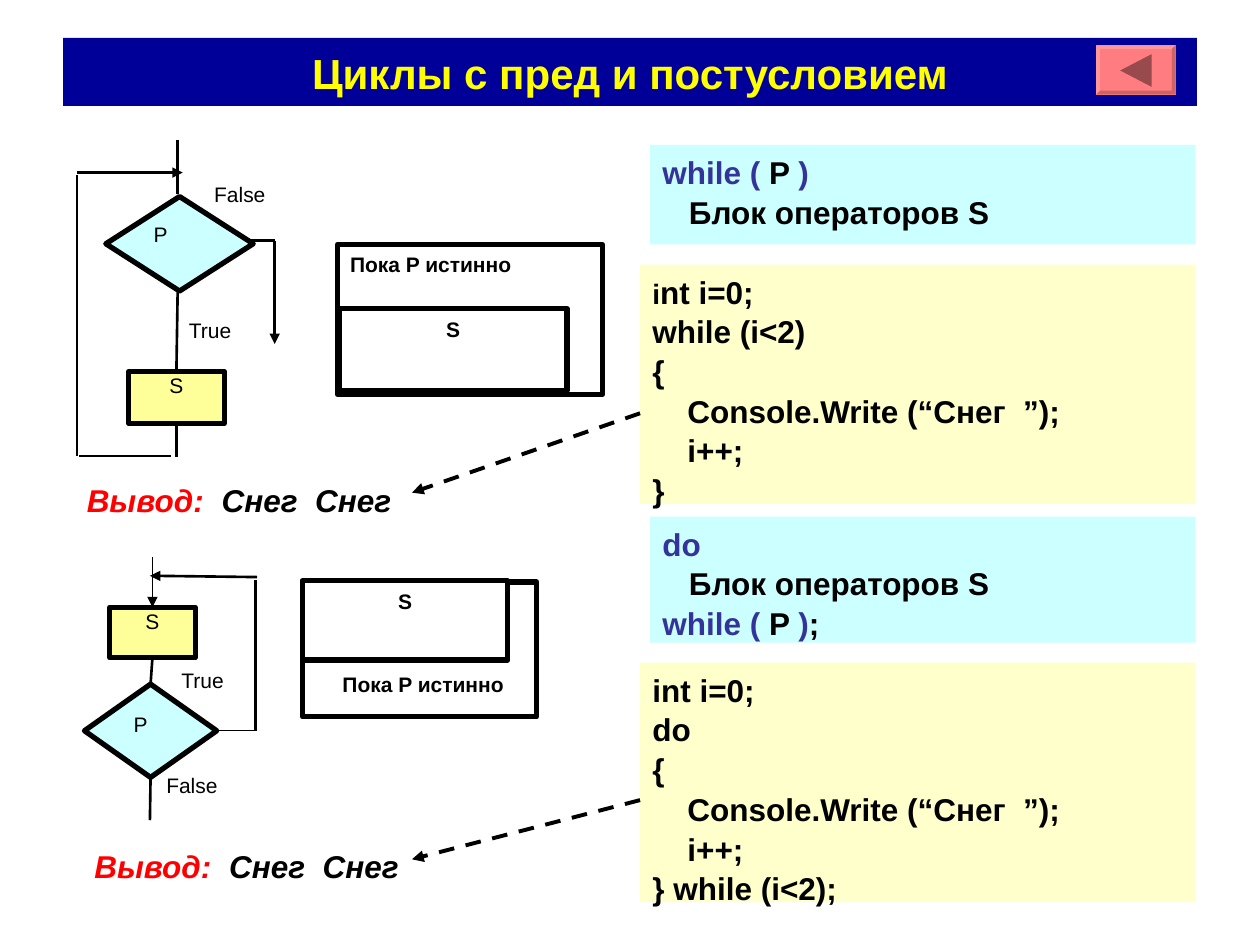
from pptx import Presentation
from pptx.dml.color import RGBColor
from pptx.enum.dml import MSO_LINE
from pptx.enum.shapes import MSO_CONNECTOR, MSO_SHAPE
from pptx.enum.text import MSO_ANCHOR, PP_ALIGN
from pptx.oxml.ns import qn
from pptx.util import Inches, Pt
from lxml.etree import SubElement as Sub

THEME = {
    "font": "Arial", "title": 24, "code": 18, "small": 16, "label": 12,
    "leading": 1.05, "thick": 3, "flow": 1.5, "thin": 0.75, "dash": 2.25,
    "navy": "000099", "yellow": "FFFF00", "black": "000000", "white": "FFFFFF",
    "key": "333399", "red": "FF0000", "aqua": "CCFFFF", "cream": "FFFFCC",
    "step": "FFFF99", "face": "FF7C80", "light": "FF9699", "dark": "CC6366",
    "mark": "994A4D",
}
TITLE = "Циклы с пред и постусловием"
TITLE_AT = (0.5, 0.3, 9, 0.54)

# A line is a list of runs: text, colour, size (code size by default).
BODY = [("Блок операторов S", "black")]
WHILE = [("while (", "key"), (" P ", "black"), (")", "key")]
COMMON = ["{", "    Console.Write (“Снег  ”);", "    i++;"]
PANELS = [  # place, fill, lines, index of the indented line
    ((5.16, 1.15, 4.33, 0.79), "aqua", [WHILE, BODY], 1),
    ((5.08, 2.1, 4.41, 1.9), "cream",
     [[("i", "black", "small"), ("nt i=0;", "black")]]
     + [[(t, "black")] for t in ["while (i<2)", *COMMON, "}"]], None),
    ((5.16, 4.1, 4.33, 1), "aqua",
     [[("do", "key")], BODY, WHILE + [(";", "black")]], 1),
    ((5.08, 5.26, 4.41, 1.9), "cream",
     [[(t, "black")] for t in ["int i=0;", "do", *COMMON, "} while (i<2);"]], None),
]
NODES = {  # kind, place, fill, text, bold
    "test1": ("diamond", (0.84, 1.56, 1.17, 0.75), "aqua", "", False),
    "step1": ("rect", (1.02, 2.95, 0.76, 0.41), "step", "S", False),
    "loop1": ("rect", (2.68, 1.94, 2.1, 1.19), "white", "", False),
    "block1": ("rect", (2.69, 2.45, 1.81, 0.65), "white", "S", True),
    "loop2": ("rect", (2.4, 4.62, 1.86, 1.07), "white", "", False),
    "block2": ("rect", (2.4, 4.61, 1.63, 0.63), "white", "S", True),
    "test2": ("diamond", (0.67, 5.43, 1.05, 0.74), "aqua", "", False),
    "step2": ("rect", (0.87, 4.82, 0.68, 0.4), "step", "S", False),
}
LABELS = [  # text, place, bold
    ("P", (1.22, 1.75, 0.33, 0.33), False),
    ("False", (1.7, 1.43, 0.54, 0.32), False),
    ("True", (1.5, 2.51, 0.47, 0.33), False),
    ("True", (1.44, 5.29, 0.54, 0.36), False),
    ("P", (1.06, 5.64, 0.35, 0.31), False),
    ("False", (1.32, 6.12, 0.56, 0.34), False),
    ("Пока P истинно", (2.68, 1.94, 1.6, 0.3), True),
    ("Пока P истинно", (2.62, 5.27, 1.6, 0.3), True),
]
LINES = [  # from, to (a point, or a node and its side), width, arrow
    ((1.41, 2.32), ("step1", 0), "flow", False),
    (("step1", 2), (1.4, 3.63), "flow", False),
    ((0.61, 1.39), (0.61, 3.62), "flow", False),
    ((0.63, 3.62), (1.36, 3.62), "flow", False),
    ((0.61, 1.37), (1.45, 1.37), "flow", True),
    ((1.41, 1.54), (1.41, 1.11), "flow", False),
    ((1.97, 1.91), (2.18, 1.91), "flow", False),
    ((2.18, 1.91), (2.18, 2.73), "flow", True),
    ((2.03, 4.6), (2.03, 5.79), "flow", False),
    ((2.04, 4.58), (1.19, 4.57), "flow", True),
    (("step2", 2), ("test2", 0), "flow", False),
    (("test2", 2), (1.19, 6.51), "flow", False),
    ((1.21, 4.42), ("step2", 0), "thin", True),
    (("test2", 3), (2.04, 5.8), "thin", False),
    ((5.08, 3.28), (3.27, 3.91), "dash", True),
    ((5.08, 6.35), (3.27, 6.82), "dash", True),
]
OUTPUT = [("Вывод:", "red"), ("\tСнег  Снег", "black")]
OUTPUT_AT = [(0.59, 3.75, 2.62, 0.4), (0.65, 6.66, 2.62, 0.4)]
OUTPUT_TAB = 1.07
BUTTON = (8.7, 0.36, 0.63, 0.39)
BEVEL = 0.03
ARROW = [(8.89, 0.56), (9.14, 0.43), (9.14, 0.69)]


def tint(name):
    return RGBColor.from_string(THEME[name])


def inch(nums):
    return [Inches(n) for n in nums]


def write(para, runs, size="code", bold=True, italic=False):
    para.line_spacing = THEME["leading"]
    for text, color, *own in runs:
        run = para.add_run()
        run.text = text
        font = run.font
        font.name, font.size = THEME["font"], Pt(THEME[own[0] if own else size])
        font.bold, font.italic = bold, italic
        font.color.rgb = tint(color)


def paint(shape, fill, edge=None):
    shape.shadow.inherit = False
    shape.fill.solid()
    shape.fill.fore_color.rgb = tint(fill)
    if edge:
        shape.line.color.rgb = tint("black")
        shape.line.width = Pt(THEME[edge])
    else:
        shape.line.fill.background()


def frame(shape, pad=True):
    """Set up the text frame, with the usual margins or none."""
    tf = shape.text_frame
    tf.word_wrap, tf.vertical_anchor = True, MSO_ANCHOR.TOP
    tf.margin_left = tf.margin_right = Inches(0.1 if pad else 0)
    tf.margin_top = tf.margin_bottom = Inches(0.05 if pad else 0)
    return tf


def node(shapes, kind, at, fill, text, bold):
    form = MSO_SHAPE.RECTANGLE if kind == "rect" else MSO_SHAPE.FLOWCHART_DECISION
    shape = shapes.add_shape(form, *inch(at))
    paint(shape, fill, "thick")
    if text:
        para = frame(shape, bold).paragraphs[0]
        para.alignment = PP_ALIGN.CENTER
        write(para, [(text, "black")], "label", bold)
    return shape


def link(shapes, nodes, start, end, width, arrow):
    glue = [isinstance(p[0], str) for p in (start, end)]
    ends = [(0, 0) if g else p for g, p in zip(glue, (start, end))]
    line = shapes.add_connector(MSO_CONNECTOR.STRAIGHT, *inch(ends[0] + ends[1]))
    if glue[0]:
        line.begin_connect(nodes[start[0]], start[1])
    if glue[1]:
        line.end_connect(nodes[end[0]], end[1])
    line.line.color.rgb = tint("black")
    line.line.width = Pt(THEME[width])
    if width == "dash":
        line.line.dash_style = MSO_LINE.DASH
    if arrow:
        Sub(line.line._get_or_add_ln(), qn("a:tailEnd"), type="triangle")
    Sub(line._element.spPr, qn("a:effectLst"))


def facet(shapes, points, fill):
    pen = shapes.build_freeform(*inch(points[0]), scale=1.0)
    pen.add_line_segments([inch(p) for p in points[1:]], close=True)
    paint(pen.convert_to_shape(), fill)


def button(shapes):
    x, y, w, h = BUTTON

    def ring(d):
        return [(x + d, y + d), (x + w - d, y + d),
                (x + w - d, y + h - d), (x + d, y + h - d)]

    outer, inner = ring(0), ring(BEVEL)
    facet(shapes, outer, "face")
    for i, fill in enumerate(["light", "dark", "dark", "light"]):
        j = (i + 1) % 4
        facet(shapes, [outer[i], outer[j], inner[j], inner[i]], fill)
    facet(shapes, ARROW, "mark")


def main():
    prs = Presentation()
    prs.slide_width, prs.slide_height = Inches(10), Inches(7.5)
    slide = prs.slides.add_slide(prs.slide_layouts[5])
    shapes = slide.shapes

    title = shapes.title
    title.left, title.top, title.width, title.height = inch(TITLE_AT)
    paint(title, "navy")
    tf = frame(title)
    tf.vertical_anchor = MSO_ANCHOR.MIDDLE
    tf.paragraphs[0].alignment = PP_ALIGN.CENTER
    write(tf.paragraphs[0], [(TITLE, "yellow")], "title")

    nodes = {name: node(shapes, *spec) for name, spec in NODES.items()}
    for text, at, bold in LABELS:
        tf = frame(shapes.add_textbox(*inch(at)), bold)
        write(tf.paragraphs[0], [(text, "black")], "label", bold)

    for at, fill, lines, inner in PANELS:
        panel = shapes.add_shape(MSO_SHAPE.RECTANGLE, *inch(at))
        paint(panel, fill)
        tf = frame(panel)
        for i, runs in enumerate(lines):
            para = tf.add_paragraph() if i else tf.paragraphs[0]
            para.alignment = PP_ALIGN.LEFT
            if i == inner:
                para._p.get_or_add_pPr().set("marL", str(Inches(0.21)))
            write(para, runs)

    for at in OUTPUT_AT:
        para = frame(shapes.add_textbox(*inch(at))).paragraphs[0]
        tabs = Sub(para._p.get_or_add_pPr(), qn("a:tabLst"))
        Sub(tabs, qn("a:tab"), pos=str(Inches(OUTPUT_TAB)), algn="l")
        write(para, OUTPUT, italic=True)

    for spec in LINES:
        link(shapes, nodes, *spec)
    button(shapes)
    prs.save("out.pptx")


if __name__ == "__main__":
    main()
